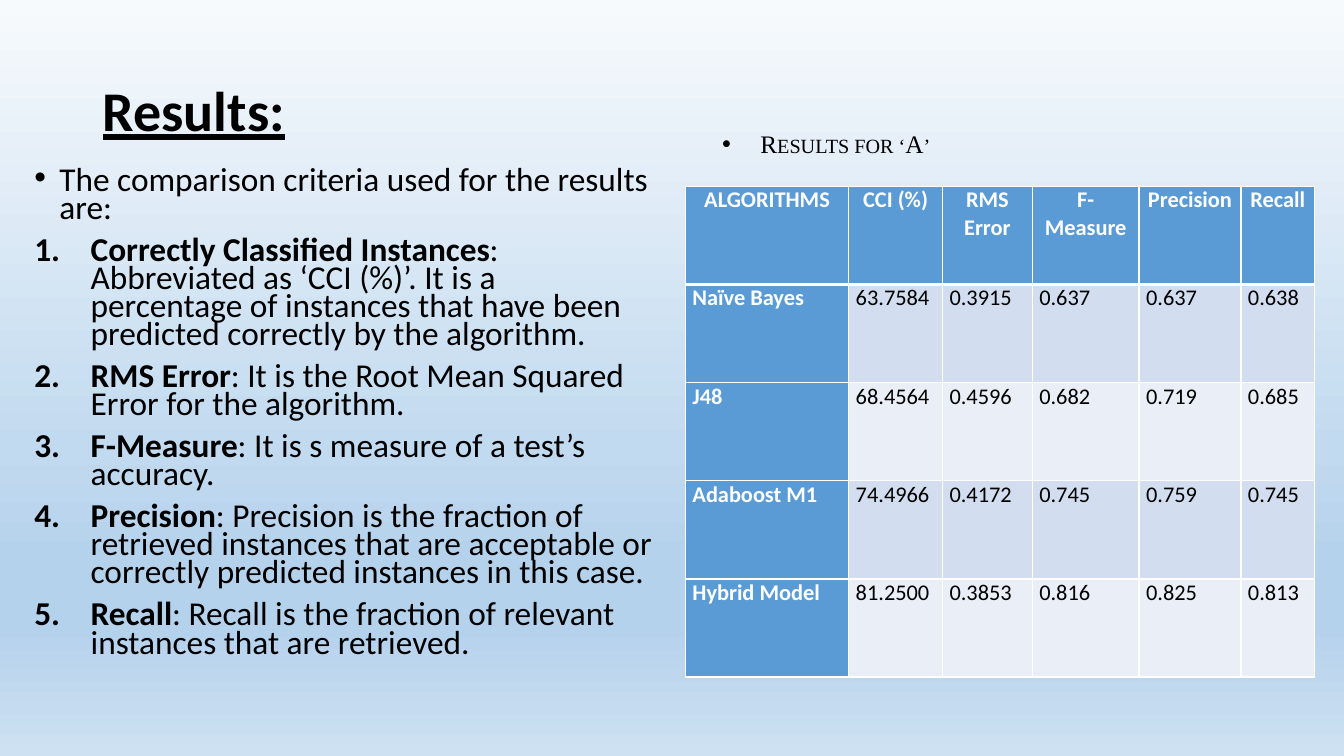
"""Build the Results slide: comparison criteria beside a table of algorithm scores."""
from lxml.etree import SubElement
from pptx import Presentation
from pptx.dml.color import RGBColor
from pptx.enum.text import MSO_ANCHOR as Anchor, MSO_AUTO_SIZE as AutoSize, PP_ALIGN as Align
from pptx.oxml.ns import qn
from pptx.util import Inches, Pt

BLACK, WHITE, BLUE = "000000", "FFFFFF", "5B9BD5"
BANDS = ["D2DEEF", "EAEFF7"]
BACKDROP = [(0, "F7FAFD"), (59, "C2DAEF"), (74, "B5D2EC"), (83, "B5D2EC"), (100, "CEE1F2")]
CRITERIA = [
    ("Correctly Classified Instances", "Abbreviated as ‘CCI (%)’. It is a percentage of "
     "instances that have been predicted correctly by the algorithm."),
    ("RMS Error", "It is the Root Mean Squared Error for the algorithm."),
    ("F-Measure", "It is s measure of a test’s accuracy."),
    ("Precision", "Precision is the fraction of retrieved instances that are acceptable or "
     "correctly predicted instances in this case."),
    ("Recall", "Recall is the fraction of relevant instances that are retrieved."),
]
SCORES = [
    ("ALGORITHMS", "CCI (%)", "RMS Error", "F-Measure", "Precision", "Recall"),
    ("Naïve Bayes", "63.7584", "0.3915", "0.637", "0.637", "0.638"),
    ("J48", "68.4564", "0.4596", "0.682", "0.719", "0.685"),
    ("Adaboost M1", "74.4966", "0.4172", "0.745", "0.759", "0.745"),
    ("Hybrid Model", "81.2500", "0.3853", "0.816", "0.825", "0.813"),
]
COLUMN_SHARES = [12.15, 6.98, 6.68, 7.95, 7.58, 5.48]
ROW_SHARE = 12.98


def style(font, size, color, name="Calibri", bold=None):
    font.size, font.name, font.bold = Pt(size), name, bold
    font.color.rgb = RGBColor.from_string(color)


def set_list(para, indent, tag, **marker):
    props = para._p.get_or_add_pPr()
    props.set("marL", str(Inches(indent)))
    props.set("indent", str(-Inches(indent)))
    SubElement(props, qn("a:buFont"), typeface="Arial" if tag == "a:buChar" else "+mj-lt")
    SubElement(props, qn(tag), **marker)


deck = Presentation()
deck.slide_width, deck.slide_height = Inches(13.33), Inches(7.5)
column, row = deck.slide_width / 100, deck.slide_height / 100
page = deck.slides.add_slide(deck.slide_layouts[1])

backdrop = page.background.fill
backdrop.gradient()
backdrop.gradient_angle = 270
stops = next(page._element.iter(qn("a:gsLst")))
for stop in list(stops):
    stops.remove(stop)
for share, color in BACKDROP:
    stop = SubElement(stops, qn("a:gs"), pos=str(share * 1000))
    SubElement(stop, qn("a:srgbClr"), val=color)

title, body = page.placeholders
caption = page.shapes.add_textbox(0, 0, 0, 0)
for box, left, top, width, height in [
    (title, 6.9, 5.33, 86.27, 19.33),
    (body, 1.8, 21.73, 47.56, 75.07),
    (caption, 52.81, 16.8, 17.33, 4.93),
]:
    box.left, box.width = int(left * column), int(width * column)
    box.top, box.height = int(top * row), int(height * row)
    box.text_frame.auto_size = AutoSize.NONE

title.text_frame.text = "Results:"
title.text_frame.vertical_anchor = Anchor.MIDDLE
para = title.text_frame.paragraphs[0]
para.alignment, para.line_spacing = Align.LEFT, 0.9
style(para.font, 40, BLACK, bold=True)
para.font.underline = True

body.text_frame.text = "The comparison criteria used for the results are:"
for term, meaning in CRITERIA:
    para = body.text_frame.add_paragraph()
    para.add_run().text = term
    para.runs[0].font.bold = True
    para.add_run().text = f": {meaning}"
for index, para in enumerate(body.text_frame.paragraphs):
    para.line_spacing, para.space_before = 0.7, Pt(10)
    if index:
        set_list(para, 0.56, "a:buAutoNum", type="arabicPeriod")
    else:
        set_list(para, 0.25, "a:buChar", char="•")
    style(para.font, 23.8, BLACK)

caption.text_frame.text = "Results for ‘A’"
caption.text_frame.word_wrap = False
caption.text_frame.auto_size = AutoSize.SHAPE_TO_FIT_TEXT
para = caption.text_frame.paragraphs[0]
para.alignment, para.line_spacing = Align.CENTER, 0.9
para.space_before, para.space_after = Pt(12), Pt(6)
set_list(para, 0.38, "a:buChar", char="•")
style(para.font, 18, BLACK, "Times New Roman")
para.runs[0]._r.get_or_add_rPr().set("cap", "small")

table = page.shapes.add_table(
    len(SCORES), len(COLUMN_SHARES), int(51 * column), int(24.67 * row),
    int(sum(COLUMN_SHARES) * column), int(len(SCORES) * ROW_SHARE * row)).table
for table_column, share in zip(table.columns, COLUMN_SHARES):
    table_column.width = int(share * column)
for row_index, values in enumerate(SCORES):
    table.rows[row_index].height = int(ROW_SHARE * row)
    for column_index, value in enumerate(values):
        cell = table.cell(row_index, column_index)
        cell.text = value
        cell.margin_left = cell.margin_right = Inches(0.07)
        cell.margin_top = cell.margin_bottom = 0
        heading = row_index == 0 or column_index == 0
        para = cell.text_frame.paragraphs[0]
        para.alignment = Align.JUSTIFY if row_index else Align.CENTER
        style(para.font, 16, WHITE if heading else BLACK, bold=heading)
        for side in ["L", "R", "T", "B"]:
            thick = (row_index, side) in [(0, "B"), (1, "T")]
            border = SubElement(cell._tc.get_or_add_tcPr(), qn(f"a:ln{side}"),
                                w=str(Pt(3 if thick else 1)))
            SubElement(SubElement(border, qn("a:solidFill")), qn("a:srgbClr"), val=WHITE)
        cell.fill.solid()
        color = BLUE if heading else BANDS[(row_index - 1) % 2]
        cell.fill.fore_color.rgb = RGBColor.from_string(color)

deck.save("out.pptx")
